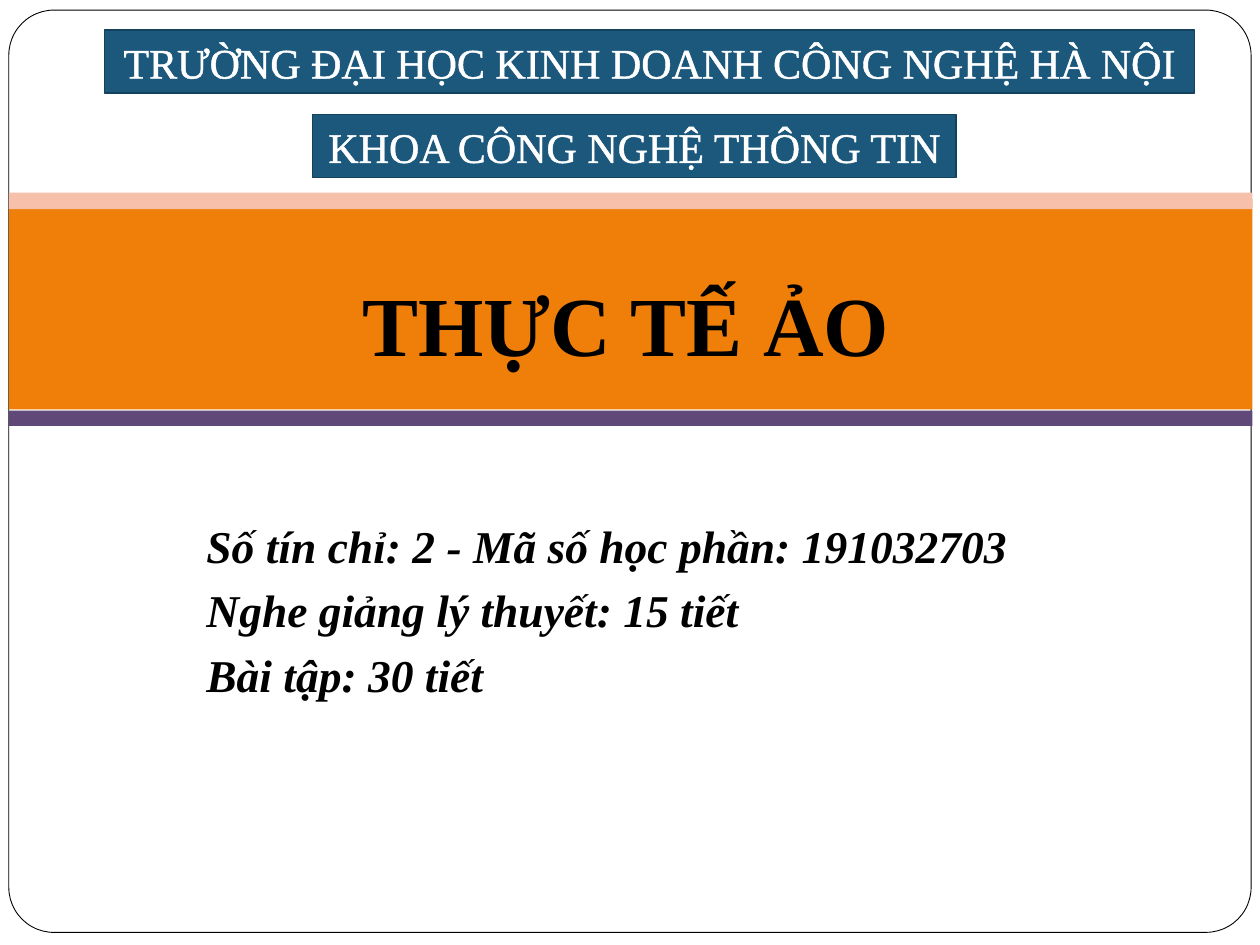
from pptx import Presentation
from pptx.dml.color import RGBColor
from pptx.enum.shapes import MSO_SHAPE
from pptx.enum.text import MSO_ANCHOR, PP_ALIGN
from pptx.oxml import parse_xml
from pptx.oxml.ns import nsdecls
from pptx.util import Inches, Pt

FONT = "Times New Roman"
BLACK, WHITE = "000000", "FFFFFF"


def color(code):
    return RGBColor.from_string(code)


def place(box):
    return [Inches(n) for n in box]


def add_block(slide, box, fill, line=None, width=1, kind=MSO_SHAPE.RECTANGLE):
    block = slide.shapes.add_shape(kind, *place(box))
    block.shadow.inherit = False
    block.fill.solid()
    block.fill.fore_color.rgb = color(fill)
    if line:
        block.line.color.rgb = color(line)
        block.line.width = Pt(width)
    else:
        block.line.fill.background()
    return block


def style(para, size, code, bold=False, italic=False):
    for run in para.runs:
        font = run.font
        font.name, font.size = FONT, Pt(size)
        font.bold, font.italic = bold, italic
        font.color.rgb = color(code)


def outline(run, code, width):
    """Draw the edge of the letters in a colour."""
    edge = parse_xml(
        f'<a:ln {nsdecls("a")} w="{Pt(width)}"><a:solidFill>'
        f'<a:srgbClr val="{code}"/></a:solidFill></a:ln>')
    run.font._element.insert(0, edge)


def add_label(slide, box, text):
    frame = add_block(slide, box, "1B587C", "14415C").text_frame
    frame.word_wrap = False
    frame.text = text
    para = frame.paragraphs[0]
    para.alignment = PP_ALIGN.CENTER
    style(para, 24, WHITE)
    outline(para.runs[0], WHITE, 1.45)


def add_text(slide, box, lines, size, italic=False, gap=0):
    frame = slide.shapes.add_textbox(*place(box)).text_frame
    frame.word_wrap = True
    frame.text = "\n".join(lines)
    for i, para in enumerate(frame.paragraphs):
        if i and gap:
            para.space_before = Pt(gap)
        style(para, size, BLACK, True, italic)
    return frame


def main():
    deck = Presentation()
    deck.slide_width, deck.slide_height = Inches(10), Inches(7.5)
    slide = deck.slides.add_slide(deck.slide_layouts[6])

    border = add_block(slide, (0.07, 0.08, 9.86, 7.32), WHITE, BLACK, 0.5,
                       MSO_SHAPE.ROUNDED_RECTANGLE)
    border.adjustments[0] = 0.049
    for top, height, fill in ((1.58, 1.67, "F07F09"), (1.53, 0.13, "F6C0AB"),
                              (3.26, 0.12, "604878")):
        add_block(slide, (0.07, top, 9.87, height), fill)

    add_text(slide, (1.54, 4.06, 7, 1.75),
             ["Số tín chỉ: 2 - Mã số học phần: 191032703",
              "Nghe giảng lý thuyết: 15 tiết",
              "Bài tập: 30 tiết"], 26, True, 5.8)

    title = add_text(slide, (0.47, 1.78, 9, 1.61), ["THỰC TẾ ẢO"], 48)
    title.vertical_anchor = MSO_ANCHOR.MIDDLE
    title.margin_bottom = Inches(0.1)
    title.paragraphs[0].alignment = PP_ALIGN.CENTER

    add_label(slide, (0.83, 0.24, 8.65, 0.5),
              "TRƯỜNG ĐẠI HỌC KINH DOANH CÔNG NGHỆ HÀ NỘI")
    add_label(slide, (2.48, 0.91, 5.11, 0.5), "KHOA CÔNG NGHỆ THÔNG TIN")

    deck.save("out.pptx")


if __name__ == "__main__":
    main()
